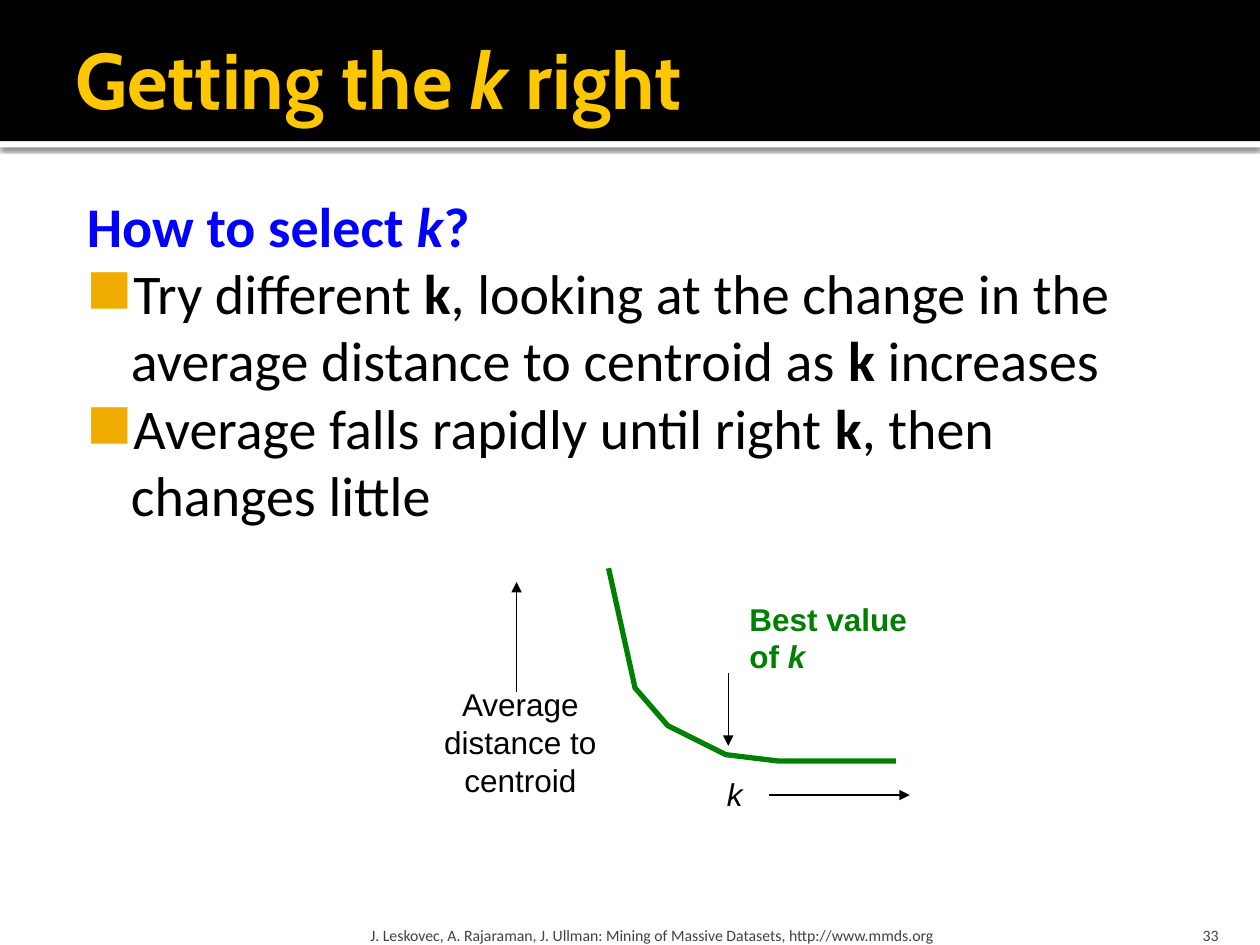
from dataclasses import dataclass

from lxml import etree
from pptx import Presentation
from pptx.dml.color import RGBColor as RGB
from pptx.enum.shapes import MSO_CONNECTOR as CONN, MSO_SHAPE as SHAPE
from pptx.enum.text import MSO_ANCHOR as ANCHOR, PP_ALIGN as ALIGN
from pptx.oxml.ns import qn
from pptx.util import Inches, Pt


@dataclass(frozen=True)
class Theme:
    black: str = "000000"
    white: str = "FFFFFF"
    gold: str = "FFC700"
    bullet: str = "F0AD00"
    blue: str = "0000FF"
    green: str = "008000"
    grey: str = "414141"
    title_font: str = "Cabin"
    body_font: str = "Calibri"
    label_font: str = "Arial"
    title_size: int = 45
    body_size: int = 32
    label_size: int = 18
    footer_size: int = 9
    thin: float = 0.75
    thick: float = 3


class SlideBuilder:
    def __init__(self, slide, theme):
        self.s, self.t = slide, theme

    def band(self, top, height, color, shadow=False):
        sp = self.s.shapes.add_shape(
            SHAPE.RECTANGLE, 0, Inches(top), Inches(10), Inches(height))
        sp.shadow.inherit = False
        sp.fill.solid()
        sp.fill.fore_color.rgb = RGB.from_string(color)
        sp.line.fill.background()
        if shadow:
            effects = sp._element.spPr.find(qn("a:effectLst"))
            outer = etree.SubElement(
                effects, qn("a:outerShdw"), blurRad=str(Pt(2.5)),
                dist=str(Pt(0.8)), dir="5400000", algn="tl", rotWithShape="0")
            clr = etree.SubElement(outer, qn("a:srgbClr"), val=self.t.black)
            etree.SubElement(clr, qn("a:alpha"), val="60000")

    def text(self, box, paragraphs, font, size, color, align=ALIGN.LEFT,
             anchor=ANCHOR.TOP, insets=(0.1, 0.05, 0.1, 0.05), wrap=True):
        """Each paragraph is a list of (text, style); style holds b and/or i."""
        tf = self.s.shapes.add_textbox(*map(Inches, box)).text_frame
        tf.word_wrap, tf.vertical_anchor = wrap, anchor
        (tf.margin_left, tf.margin_top,
         tf.margin_right, tf.margin_bottom) = map(Inches, insets)
        for n, runs in enumerate(paragraphs):
            p = tf.add_paragraph() if n else tf.paragraphs[0]
            p.alignment = align
            for content, style in runs:
                r = p.add_run()
                r.text = content
                r.font.name, r.font.size = font, Pt(size)
                r.font.bold, r.font.italic = "b" in style, "i" in style
                r.font.color.rgb = RGB.from_string(color)
        return tf

    def label(self, box, paragraphs, color, align=ALIGN.LEFT):
        self.text(box, paragraphs, self.t.label_font, self.t.label_size,
                  color, align, wrap=False)

    def footer(self, box, content, align, side):
        self.text(box, [[(content, "")]], self.t.body_font, self.t.footer_size,
                  self.t.grey, align, ANCHOR.BOTTOM, (side, 0.05, side, 0))

    def indent(self, p, left, hanging=0.0, bullet=None):
        pPr = p._p.get_or_add_pPr()
        pPr.set("marL", str(Inches(left)))
        pPr.set("indent", str(Inches(-hanging)))
        if bullet:
            clr = etree.SubElement(pPr, qn("a:buClr"))
            etree.SubElement(clr, qn("a:srgbClr"), val=self.t.bullet)
            etree.SubElement(pPr, qn("a:buChar"), char=bullet)

    def arrow(self, start, end):
        c = self.s.shapes.add_connector(
            CONN.STRAIGHT, *map(Inches, (*start, *end)))
        c.line.color.rgb = RGB.from_string(self.t.black)
        c.line.width = Pt(self.t.thin)
        etree.SubElement(c.line._get_or_add_ln(), qn("a:tailEnd"),
                         type="triangle")
        etree.SubElement(c._element.spPr, qn("a:effectLst"))

    def curve(self, points, color):
        start, *rest = [tuple(map(Inches, pt)) for pt in points]
        builder = self.s.shapes.build_freeform(*start, scale=1.0)
        builder.add_line_segments(rest, close=False)
        sp = builder.convert_to_shape()
        sp.shadow.inherit = False
        sp.fill.background()
        sp.line.color.rgb = RGB.from_string(color)
        sp.line.width = Pt(self.t.thick)


def main():
    prs = Presentation()
    prs.slide_width, prs.slide_height = Inches(10), Inches(7.5)
    t = Theme()
    b = SlideBuilder(prs.slides.add_slide(prs.slide_layouts[6]), t)

    # Header
    b.band(1.12, 0.05, t.white, shadow=True)
    b.band(0, 1.12, t.black)
    b.text((0.5, 0.08, 9, 1.08),
           [[("Getting the ", "b"), ("k", "bi"), (" right", "b")]],
           t.title_font, t.title_size, t.gold, anchor=ANCHOR.MIDDLE,
           insets=(0.1, 0.05, 0.05, 0.05))

    # Question and bullets
    body = b.text((0.5, 1.42, 9, 5.75), [
        [("How to select ", "b"), ("k", "bi"), ("?", "b")],
        [("Try different ", ""), ("k", "b"),
         (", looking at the change in the average distance to centroid as ", ""),
         ("k", "b"), (" increases", "")],
        [("Average falls rapidly until right ", ""), ("k", "b"),
         (", then changes little", "")],
    ], t.body_font, t.body_size, t.black, insets=(0.06, 0.1, 0.1, 0.05))
    question, *bullets = body.paragraphs
    b.indent(question, 0.13)
    for r in question.runs:
        r.font.color.rgb = RGB.from_string(t.blue)
    for p in bullets:
        b.indent(p, 0.48, 0.35, "◼")

    # Axis labels and arrows
    b.label((5.67, 6.1, 0.33, 0.4), [[("k", "i")]], t.black)
    b.label((3.42, 5.39, 1.42, 1.01),
            [[(line, "")] for line in ("Average", "distance to", "centroid")],
            t.black, ALIGN.CENTER)
    b.arrow((4.1, 5.49), (4.1, 4.62))
    b.arrow((6.1, 6.31), (7.22, 6.31))

    # Best value marker
    b.label((5.85, 4.71, 1.46, 0.71),
            [[("Best value", "b")], [("of ", "b"), ("k", "bi")]], t.green)
    b.arrow((5.78, 5.34), (5.78, 5.92))

    # Distance curve
    b.curve([(4.83, 4.51), (5.04, 5.46), (5.3, 5.76), (5.76, 5.99),
             (6.17, 6.04), (6.77, 6.04), (7.11, 6.04)], t.green)

    # Footer
    b.footer((2.89, 7.2, 6.02, 0.3),
             "J. Leskovec, A. Rajaraman, J. Ullman: Mining of Massive Datasets, "
             "http://www.mmds.org", ALIGN.LEFT, 0.05)
    b.footer((8.97, 7.2, 0.8, 0.3), "33", ALIGN.RIGHT, 0.1)

    prs.save("out.pptx")


if __name__ == "__main__":
    main()
